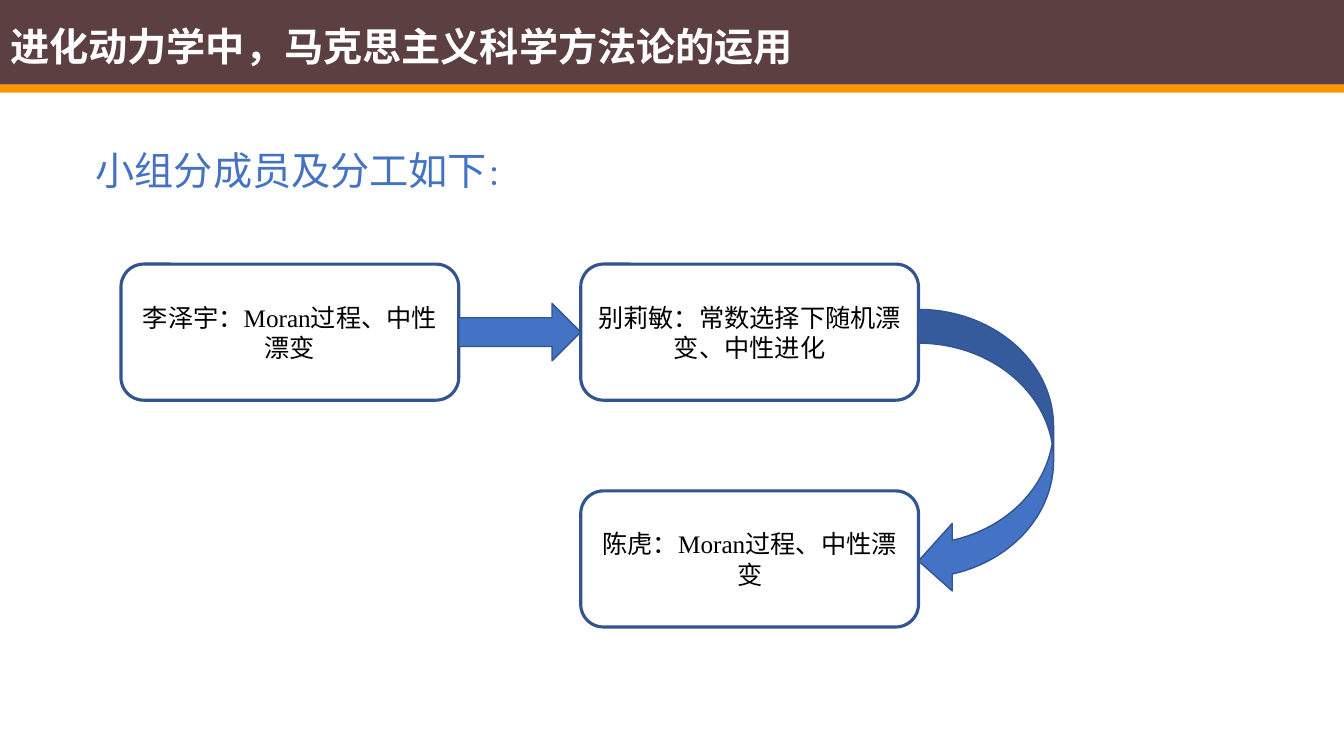
import pptx
import pptx.util
import pptx.dml.color
import pptx.enum.shapes
import pptx.enum.text

RGBColor = pptx.dml.color.RGBColor
SHAPE = pptx.enum.shapes.MSO_SHAPE
ALIGN = pptx.enum.text.PP_ALIGN
ANCHOR = pptx.enum.text.MSO_ANCHOR

BROWN = RGBColor(0x5C, 0x3F, 0x41)
ORANGE = RGBColor(0xFF, 0x95, 0x00)
BLUE = RGBColor(0x44, 0x72, 0xC4)
NAVY = RGBColor(0x32, 0x54, 0x91)
WHITE = RGBColor(0xFF, 0xFF, 0xFF)
BLACK = RGBColor(0x00, 0x00, 0x00)

WIDTH, HEIGHT = 13.33, 7.5
LEFT, TOP = 1.2, 2.62
COL, ROW = 4.56, 2.25
BOX_W, BOX_H = 3.35, 1.35
FONT = "Times New Roman"


def add_text(p, text, size=18, color=BLACK, bold=False, align=ALIGN.LEFT):
    p.alignment = align
    r = p.add_run()
    r.text = text
    r.font.name = FONT
    r.font.size = pptx.util.Pt(size)
    r.font.color.rgb = color
    r.font.bold = bold


class Deck:
    def __init__(self):
        self.prs = pptx.Presentation()
        self.prs.slide_width = pptx.util.Inches(WIDTH)
        self.prs.slide_height = pptx.util.Inches(HEIGHT)
        self.s = self.prs.slides.add_slide(self.prs.slide_layouts[5])

    def shape(self, kind, x, y, w, h, fill=None, line=None, weight=1):
        sp = self.s.shapes.add_shape(kind, *map(pptx.util.Inches, (x, y, w, h)))
        sp.shadow.inherit = False
        if fill is None:
            sp.fill.background()
        else:
            sp.fill.solid()
            sp.fill.fore_color.rgb = fill
        if line is None:
            sp.line.fill.background()
        else:
            sp.line.color.rgb = line
            sp.line.width = pptx.util.Pt(weight)
        return sp

    def bar(self, y, h, color):
        self.shape(SHAPE.RECTANGLE, 0, y, WIDTH, h, fill=color)

    def title(self, text, x, y, w, h):
        sp = self.s.shapes.title
        sp.left, sp.top, sp.width, sp.height = map(pptx.util.Inches, (x, y, w, h))
        self.s.shapes._spTree.append(sp._element)
        tf = sp.text_frame
        tf.auto_size = pptx.enum.text.MSO_AUTO_SIZE.NONE
        tf.vertical_anchor = ANCHOR.TOP
        add_text(tf.paragraphs[0], text, size=28, color=WHITE, bold=True)

    def heading(self, text, colon, x, y, w, h):
        sp = self.s.shapes.add_textbox(*map(pptx.util.Inches, (x, y, w, h)))
        tf = sp.text_frame
        tf.word_wrap = True
        p = tf.paragraphs[0]
        add_text(p, text, size=28, color=BLUE)
        add_text(p, colon, size=20, color=BLUE)

    def member(self, text, col, row):
        sp = self.shape(SHAPE.ROUNDED_RECTANGLE, LEFT + col * COL, TOP + row * ROW,
                        BOX_W, BOX_H, line=NAVY, weight=2.25)
        tf = sp.text_frame
        tf.word_wrap = True
        tf.vertical_anchor = ANCHOR.MIDDLE
        add_text(tf.paragraphs[0], text, align=ALIGN.CENTER)

    def arrow(self, kind, col, y, w, h):
        self.shape(kind, LEFT + col * COL + BOX_W, y, w, h, fill=BLUE, line=NAVY)


def main():
    deck = Deck()
    deck.bar(0, 0.84, BROWN)
    deck.bar(0.84, 0.08, ORANGE)
    deck.title("进化动力学中，马克思主义科学方法论的运用", 0, 0.17, 8.36, 0.57)
    deck.heading("小组分成员及分工如下", "：", 0.85, 1.4, 4.64, 0.91)
    deck.member("李泽宇：Moran过程、中性漂变", 0, 0)
    deck.member("别莉敏：常数选择下随机漂变、中性进化", 1, 0)
    deck.arrow(SHAPE.RIGHT_ARROW, 0, 3.01, COL - BOX_W, 0.57)
    deck.arrow(SHAPE.CURVED_LEFT_ARROW, 1, 3.07, 1.34, 2.83)
    deck.member("陈虎：Moran过程、中性漂变", 1, 1)
    deck.prs.save("out.pptx")


if __name__ == "__main__":
    main()
